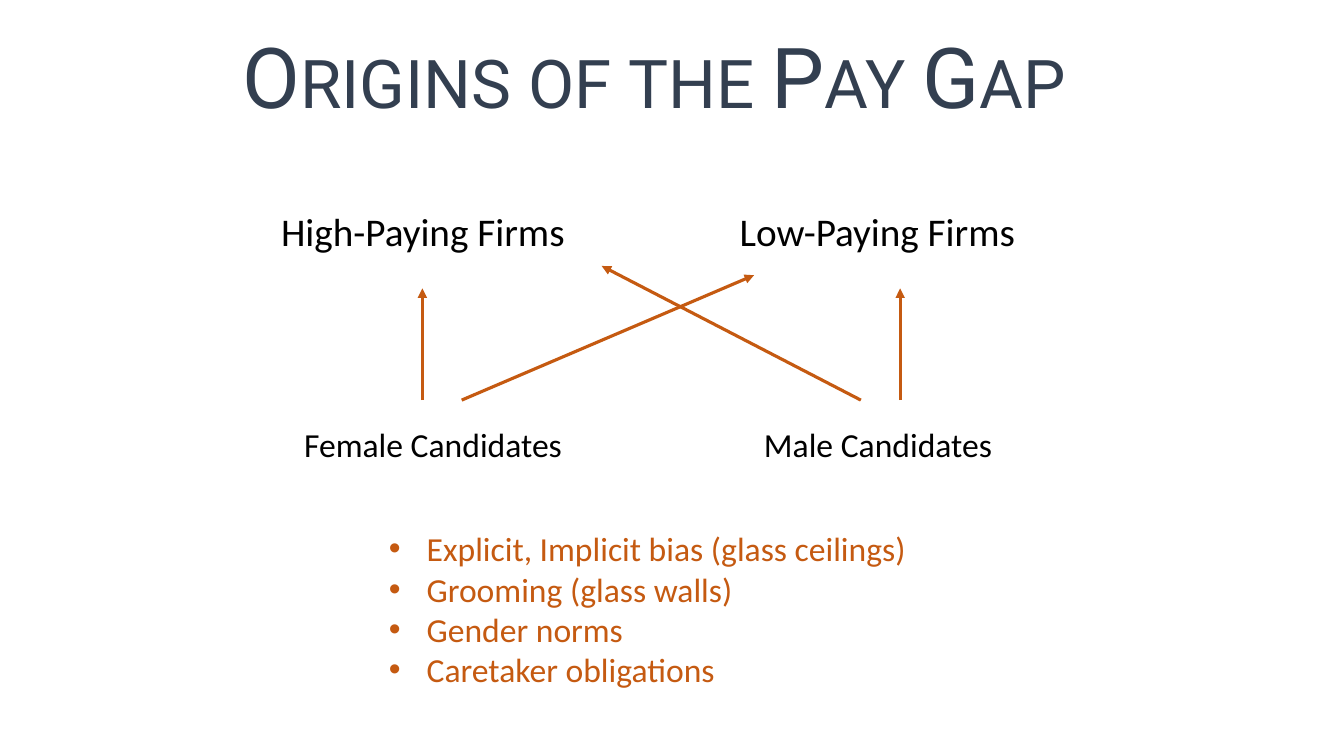
"""Build the slide on the origins of the pay gap."""
from lxml import etree
from pptx import Presentation
from pptx.dml.color import RGBColor
from pptx.enum.shapes import MSO_CONNECTOR
from pptx.enum.text import MSO_ANCHOR, PP_ALIGN
from pptx.oxml.ns import qn
from pptx.util import Pt

STRAIGHT = MSO_CONNECTOR.STRAIGHT
LEFT, CENTER = PP_ALIGN.LEFT, PP_ALIGN.CENTER
TOP, BOTTOM = MSO_ANCHOR.TOP, MSO_ANCHOR.BOTTOM
NAVY = RGBColor(0x33, 0x3F, 0x50)
BLACK = RGBColor(0, 0, 0)
ORANGE = RGBColor(0xC5, 0x5A, 0x11)

prs = Presentation()
prs.slide_width, prs.slide_height = Pt(960), Pt(540)
s = prs.slides.add_slide(prs.slide_layouts[6])


def add_text(box, lines, size, color, font="Calibri", align=LEFT, anchor=TOP, wrap=False):
    """Add a text box with one paragraph per line and return its paragraphs."""
    tf = s.shapes.add_textbox(*[Pt(v) for v in box]).text_frame
    tf.word_wrap = wrap
    tf.vertical_anchor = anchor
    for i, line in enumerate(lines):
        p = tf.add_paragraph() if i else tf.paragraphs[0]
        p.alignment = align
        r = p.add_run()
        r.text = line
        r.font.name = font
        r.font.size = Pt(size)
        r.font.color.rgb = color
    return tf.paragraphs


title = add_text((107.3, -94.3, 720, 188), ["Origins of the Pay Gap"], 60, NAVY,
                 "Roboto", CENTER, BOTTOM, True)[0]
title.line_spacing = 0.9
title.runs[0].font._element.set("cap", "small")

FIRM_TOP, CANDIDATE_TOP = 144.7, 299.5
add_text((192.2, FIRM_TOP, 219.6, 41), ["High-Paying Firms"], 28, BLACK, align=CENTER)
add_text((519.8, FIRM_TOP, 213.8, 41), ["Low-Paying Firms"], 28, BLACK, align=CENTER)
add_text((210.2, CANDIDATE_TOP, 200.2, 36), ["Female Candidates"], 24, BLACK)
add_text((538.6, CANDIDATE_TOP, 179.3, 36), ["Male Candidates"], 24, BLACK)

ARROW_START = 285.8
for x1, x2, y2 in [(301.7, 301.7, 206), (329.8, 538.6, 196.6),
                   (614.9, 429.8, 190), (643, 643, 206)]:
    arrow = s.shapes.add_connector(STRAIGHT, Pt(x1), Pt(ARROW_START), Pt(x2), Pt(y2))
    arrow.line.color.rgb = ORANGE
    arrow.line.width = Pt(2.25)
    etree.SubElement(arrow.line._get_or_add_ln(), qn("a:tailEnd"), type="triangle")
    etree.SubElement(arrow._element.spPr, qn("a:effectLst"))

causes = ["Explicit, Implicit bias (glass ceilings)", "Grooming (glass walls)",
          "Gender norms", "Caretaker obligations"]
for p in add_text((270.7, 373.7, 386.6, 152.6), causes, 24, ORANGE):
    pPr = p._p.get_or_add_pPr()
    pPr.set("marL", str(Pt(27)))
    pPr.set("indent", str(-Pt(27)))
    etree.SubElement(pPr, qn("a:buFont"), typeface="Arial")
    etree.SubElement(pPr, qn("a:buChar"), char="•")

prs.save("out.pptx")
